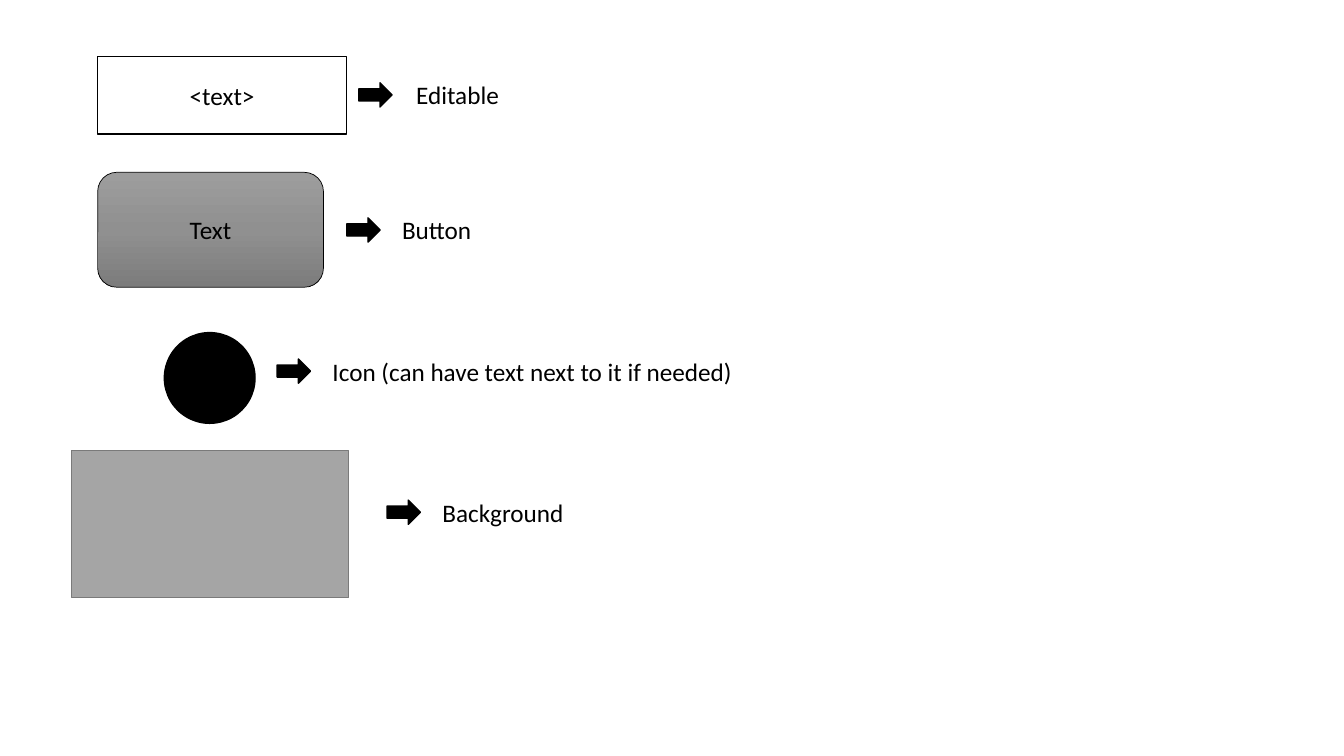
from copy import deepcopy

from pptx import Presentation
from pptx.dml.color import RGBColor
from pptx.enum import shapes, text
from pptx.util import Pt

BLACK = RGBColor(0x00, 0x00, 0x00)
WHITE = RGBColor(0xFF, 0xFF, 0xFF)
GRAY = RGBColor(0xA5, 0xA5, 0xA5)
DARK_GRAY = RGBColor(0x7A, 0x7A, 0x7A)
BUTTON_SHADES = [
    (0, RGBColor(0x9D, 0x9D, 0x9D)),
    (0.5, RGBColor(0x90, 0x90, 0x90)),
    (1, RGBColor(0x7C, 0x7C, 0x7C)),
]
FONT, FONT_SIZE = "Calibri", 18
ARROW_WIDTH, ARROW_HEIGHT = 23.8, 17.3
LABEL_HEIGHT = 29
KIND = shapes.MSO_SHAPE

# Legend rows: sample (kind, box, fill, line, line width, text),
# arrow left, label (left, top, width, text)
ROWS = [
    ((KIND.RECTANGLE, (69.8, 40.3, 177.8, 55.4), WHITE, BLACK, 1, "<text>"),
     256.3, (290.2, 53.3, 92.2, "Editable")),
    ((KIND.ROUNDED_RECTANGLE, (69.8, 123.1, 161.3, 82.1), BUTTON_SHADES, BLACK, 0.5, "Text"),
     247.7, (280.1, 149.8, 92.2, "Button")),
    ((KIND.OVAL, (117.4, 237.6, 64.8, 64.8), BLACK, BLACK, 1, ""),
     198, (230.4, 250.6, 387.4, "Icon (can have text next to it if needed)")),
    ((KIND.RECTANGLE, (51.1, 321.8, 198, 105.1), GRAY, DARK_GRAY, 1, ""),
     276.5, (308.9, 351.4, 236.2, "Background")),
]


def write(shape, words, alignment):
    shape.text_frame.text = words
    paragraph = shape.text_frame.paragraphs[0]
    paragraph.alignment = alignment
    for run in paragraph.runs:
        run.font.name = FONT
        run.font.size = Pt(FONT_SIZE)
        run.font.color.rgb = BLACK


def fill_gradient(fill, shades):
    fill.gradient()
    fill.gradient_angle = 270  # top to bottom
    stop_list = fill._fill._gradFill.gsLst
    while len(stop_list) < len(shades):
        stop_list.append(deepcopy(stop_list[0]))
    for stop, (position, color) in zip(fill.gradient_stops, shades):
        stop.position = position
        stop.color.rgb = color


def add_shape(slide, kind, box, fill, line, line_width, words=""):
    shape = slide.shapes.add_shape(kind, *map(Pt, box))
    shape.shadow.inherit = False
    if isinstance(fill, list):
        fill_gradient(shape.fill, fill)
    else:
        shape.fill.solid()
        shape.fill.fore_color.rgb = fill
    shape.line.color.rgb = line
    shape.line.width = Pt(line_width)
    if words:
        shape.text_frame.vertical_anchor = text.MSO_ANCHOR.MIDDLE
        write(shape, words, text.PP_ALIGN.CENTER)


def add_label(slide, left, top, width, words):
    label = slide.shapes.add_textbox(Pt(left), Pt(top), Pt(width), Pt(LABEL_HEIGHT))
    label.text_frame.word_wrap = True
    label.text_frame.auto_size = text.MSO_AUTO_SIZE.SHAPE_TO_FIT_TEXT
    write(label, words, text.PP_ALIGN.LEFT)


def main():
    presentation = Presentation()
    presentation.slide_width, presentation.slide_height = Pt(960), Pt(540)
    slide = presentation.slides.add_slide(presentation.slide_layouts[6])

    for sample, arrow_left, label in ROWS:
        add_shape(slide, *sample)
        # Arrow is centred on its label's height
        arrow_top = label[1] + (LABEL_HEIGHT - ARROW_HEIGHT) / 2
        arrow_box = (arrow_left, arrow_top, ARROW_WIDTH, ARROW_HEIGHT)
        add_shape(slide, KIND.RIGHT_ARROW, arrow_box, BLACK, BLACK, 1)
        add_label(slide, *label)

    presentation.save("out.pptx")


if __name__ == "__main__":
    main()
